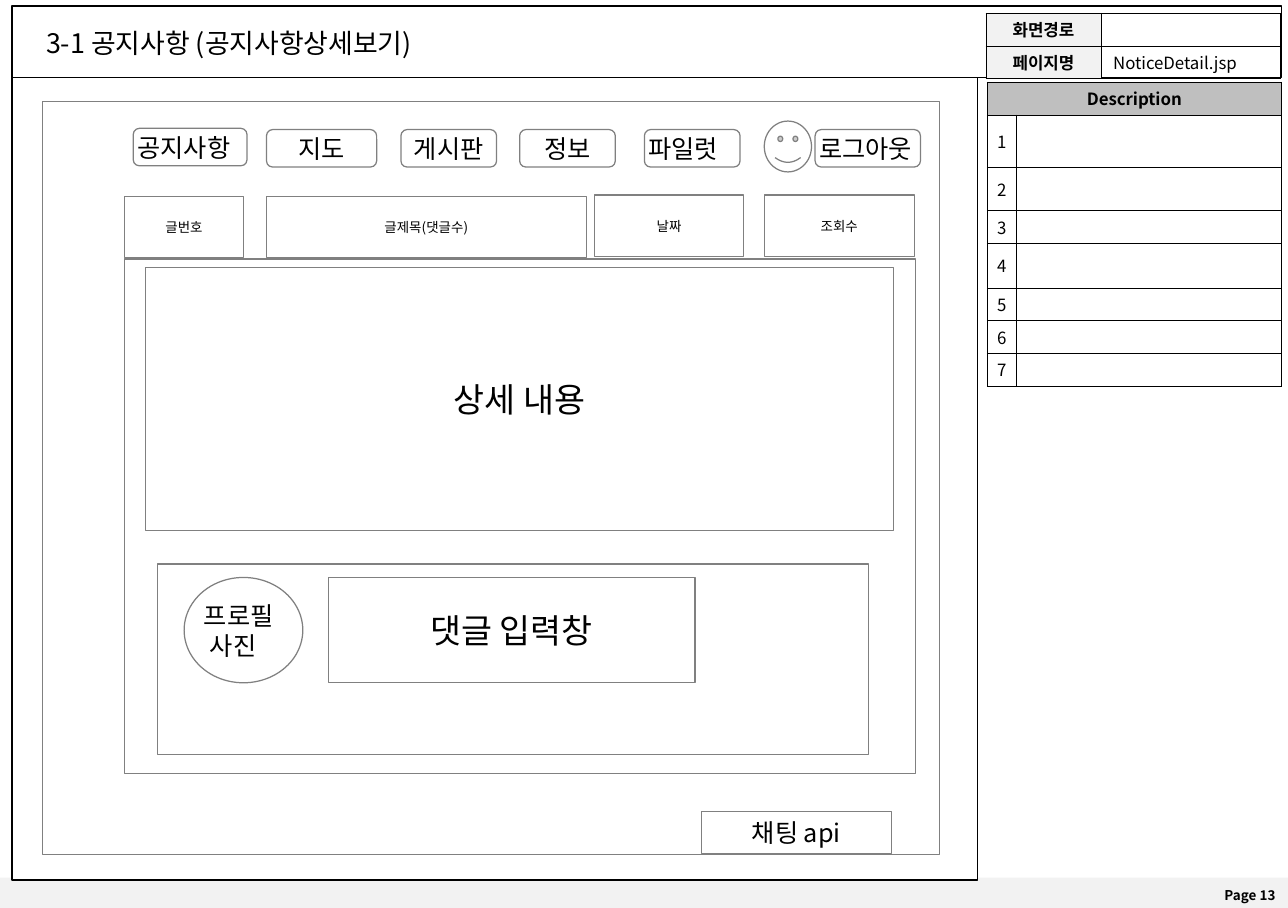
from lxml import etree
from pptx import Presentation
from pptx.dml.color import RGBColor
from pptx.enum.shapes import MSO_SHAPE as SHAPE
from pptx.enum.text import MSO_ANCHOR as ANCHOR, MSO_AUTO_SIZE as AUTO_SIZE, PP_ALIGN as ALIGN
from pptx.oxml.ns import qn
from pptx.util import Emu, Inches, Pt

FONT = "Noto Sans CJK KR"
COLORS = {"black": "000000", "white": "FFFFFF", "outline": "808080",
          "pale": "F2F2F2", "header": "BFBFBF"}


def write(paragraph, text, size, align=ALIGN.CENTER, bold=False):
    """Add one run in the slide font, for Latin and Korean letters alike."""
    paragraph.alignment = align
    run = paragraph.add_run()
    run.text = text
    run.font.size = Pt(size)
    run.font.bold = bold
    run.font.name = FONT
    run.font.color.rgb = RGBColor.from_string(COLORS["black"])
    etree.SubElement(run.font._element, qn("a:ea"), typeface=FONT)


def add_block(kind, box, fill="white", line="outline", lines=(), size=15, align=ALIGN.CENTER):
    """Add a flat shape; fill and line are colour names or None."""
    block = slide.shapes.add_shape(kind, *map(Inches, box))
    block.shadow.inherit = False
    if fill:
        block.fill.solid()
        block.fill.fore_color.rgb = RGBColor.from_string(COLORS[fill])
    else:
        block.fill.background()
    if line:
        block.line.color.rgb = RGBColor.from_string(COLORS[line])
        block.line.width = Pt(0.75)
    else:
        block.line.fill.background()
    frame = block.text_frame
    frame.word_wrap = False
    frame.vertical_anchor = ANCHOR.MIDDLE
    frame.margin_left = frame.margin_right = Inches(0.02)
    frame.margin_top = frame.margin_bottom = Inches(0.02)
    for index, text in enumerate(lines):
        paragraph = frame.add_paragraph() if index else frame.paragraphs[0]
        write(paragraph, text, size, align)
    return block


prs = Presentation()
prs.slide_width, prs.slide_height = Emu(9723438), Inches(7.5)
slide = prs.slides.add_slide(prs.slide_layouts[5])

# Page frame
add_block(SHAPE.RECTANGLE, (-0.01, 7.25, 10.65, 0.25), "pale", None)
add_block(SHAPE.RECTANGLE, (0.1, 0.64, 7.97, 6.63), "white", "black")
add_block(SHAPE.RECTANGLE, (0.1, 0.05, 10.48, 0.59), None, "black")

heading = slide.shapes.title
heading.left, heading.top, heading.width, heading.height = map(Inches, (0.28, 0.17, 6.85, 0.37))
heading.text_frame.auto_size = AUTO_SIZE.NONE
heading.text_frame.vertical_anchor = ANCHOR.TOP
write(heading.text_frame.paragraphs[0], "3-1 공지사항 (공지사항상세보기)", 16, ALIGN.LEFT)

page_number = slide.shapes.add_textbox(*map(Inches, (4.89, 7.27, 5.74, 0.25))).text_frame
page_number.word_wrap = True
page_number.vertical_anchor = ANCHOR.MIDDLE
write(page_number.paragraphs[0], "Page 13", 8, ALIGN.RIGHT, True)

# Tables: left, top, column widths, row heights, cell texts
path_rows = [("화면경로", ""), ("페이지명", "NoticeDetail.jsp")]
description_rows = [("Description", "")] + [(str(number), "") for number in range(1, 8)]
tables = [
    (8.15, 0.68, (0.24, 2.19), (0.27, 0.43, 0.36, 0.27, 0.37, 0.27, 0.27, 0.27), description_rows),
    (8.14, 0.11, (0.95, 1.48), (0.27, 0.27), path_rows),
]
for left, top, widths, heights, rows in tables:
    table = slide.shapes.add_table(len(rows), 2, Inches(left), Inches(top),
                                   Inches(sum(widths)), Inches(sum(heights))).table
    table.first_row = table.horz_banding = False
    for column, width in zip(table.columns, widths):
        column.width = Inches(width)
    for row, height in zip(table.rows, heights):
        row.height = Inches(height)
    for r, texts in enumerate(rows):
        for c, text in enumerate(texts):
            cell = table.cell(r, c)
            is_header = text == "Description"
            is_label = rows is path_rows and c == 0
            is_number = rows is description_rows and not is_header
            cell.vertical_anchor = ANCHOR.MIDDLE
            cell.margin_left = cell.margin_right = Inches(0.04 if is_number else 0.1)
            cell.margin_top = cell.margin_bottom = Inches(0.03)
            paragraph = cell.text_frame.paragraphs[0]
            if text:
                write(paragraph, text, 10, ALIGN.LEFT if c else ALIGN.CENTER, is_header or is_label)
            else:
                etree.SubElement(paragraph._p, qn("a:endParaRPr"), sz="1000")
            properties = cell._tc.get_or_add_tcPr()
            for side in ("a:lnL", "a:lnR", "a:lnT", "a:lnB"):
                border = etree.SubElement(properties, qn(side), w=str(Pt(0.45)))
                ink = etree.SubElement(border, qn("a:solidFill"))
                etree.SubElement(ink, qn("a:srgbClr"), val=COLORS["black"])
            if is_header or is_label:
                cell.fill.solid()
                cell.fill.fore_color.rgb = RGBColor.from_string(
                    COLORS["header" if is_header else "pale"])
            else:
                cell.fill.background()
    if rows is description_rows:
        table.cell(0, 0).merge(table.cell(0, 1))

# Screen and its menu
add_block(SHAPE.RECTANGLE, (0.35, 0.84, 7.41, 6.22), None)
menu = [
    ("공지사항", 1.1, 1.06, 0.94, ALIGN.LEFT),
    ("지도", 2.2, 1.07, 0.91, ALIGN.CENTER),
    ("게시판", 3.31, 1.07, 0.79, ALIGN.CENTER),
    ("정보", 4.29, 1.07, 0.79, ALIGN.CENTER),
    ("파일럿", 5.32, 1.07, 0.79, ALIGN.LEFT),
    ("로그아웃", 6.73, 1.07, 0.87, ALIGN.LEFT),
]
for label, left, top, width, align in menu:
    add_block(SHAPE.ROUNDED_RECTANGLE, (left, top, width, 0.31), lines=[label], align=align)
add_block(SHAPE.RECTANGLE, (5.79, 6.7, 1.57, 0.35), lines=["채팅 api"])
add_block(SHAPE.SMILEY_FACE, (6.31, 1, 0.39, 0.42))

# Notice header fields
fields = [("글번호", 1.03, 1.62, 0.98), ("글제목(댓글수)", 2.2, 1.62, 2.64),
          ("날짜", 4.91, 1.61, 1.23), ("조회수", 6.31, 1.61, 1.24)]
for label, left, top, width in fields:
    add_block(SHAPE.RECTANGLE, (left, top, width, 0.51), lines=[label], size=8)

# Notice body and comments
add_block(SHAPE.FLOWCHART_PROCESS, (1.03, 2.14, 6.53, 4.25))
add_block(SHAPE.FLOWCHART_PROCESS, (1.2, 2.21, 6.18, 2.17), lines=["상세 내용"], size=20)
add_block(SHAPE.FLOWCHART_PROCESS, (1.3, 4.66, 5.87, 1.57))
profile = add_block(SHAPE.OVAL, (1.52, 4.77, 0.98, 0.87), lines=["프로필", "사진"], align=ALIGN.LEFT)
profile.text_frame.paragraphs[1]._p.get_or_add_pPr().set("marL", str(Inches(0.05)))
add_block(SHAPE.RECTANGLE, (2.71, 4.77, 3.03, 0.87), lines=["댓글 입력창"], size=20)

prs.save("out.pptx")
